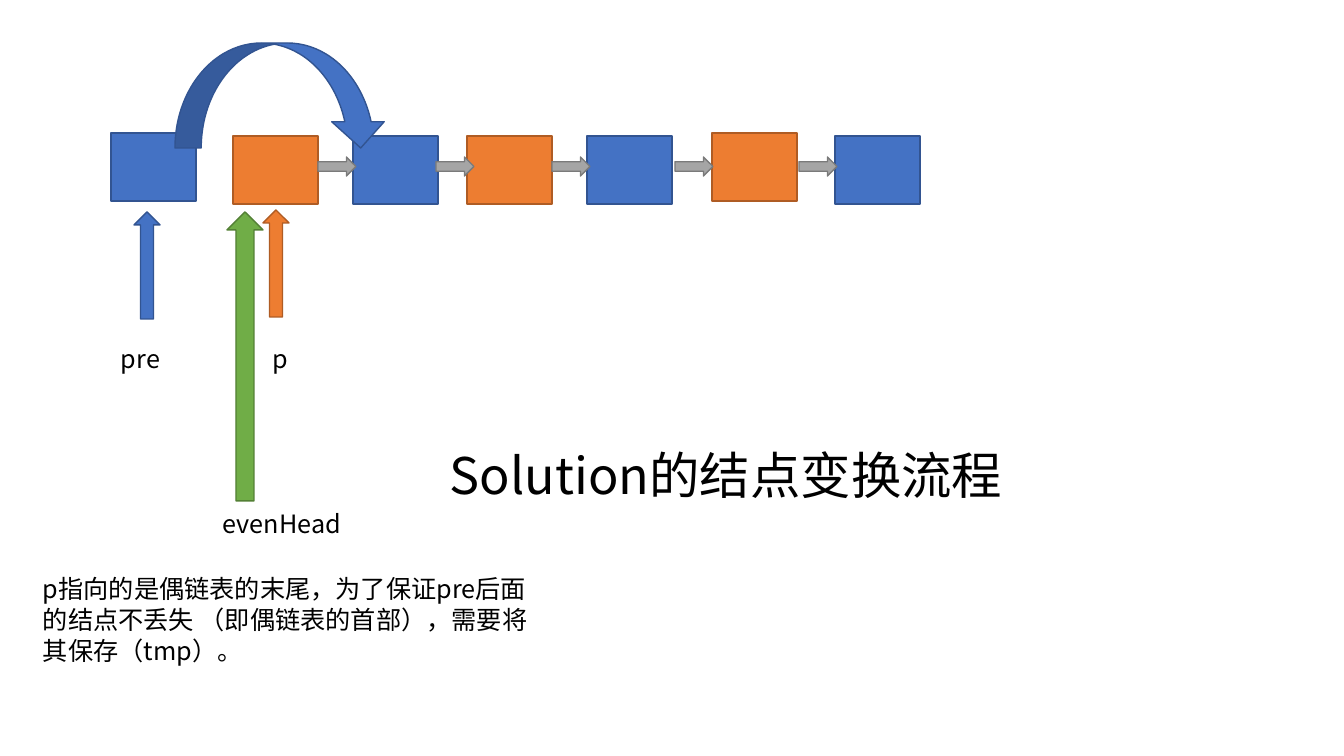
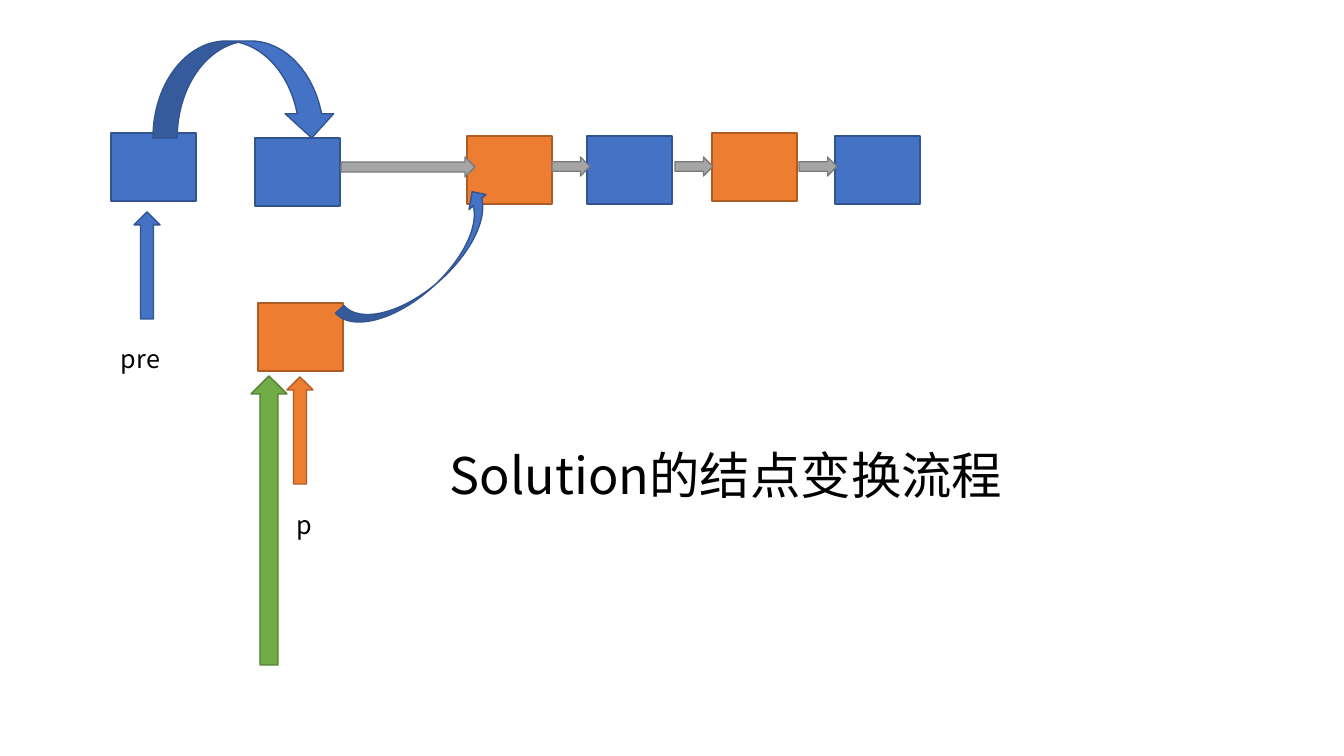
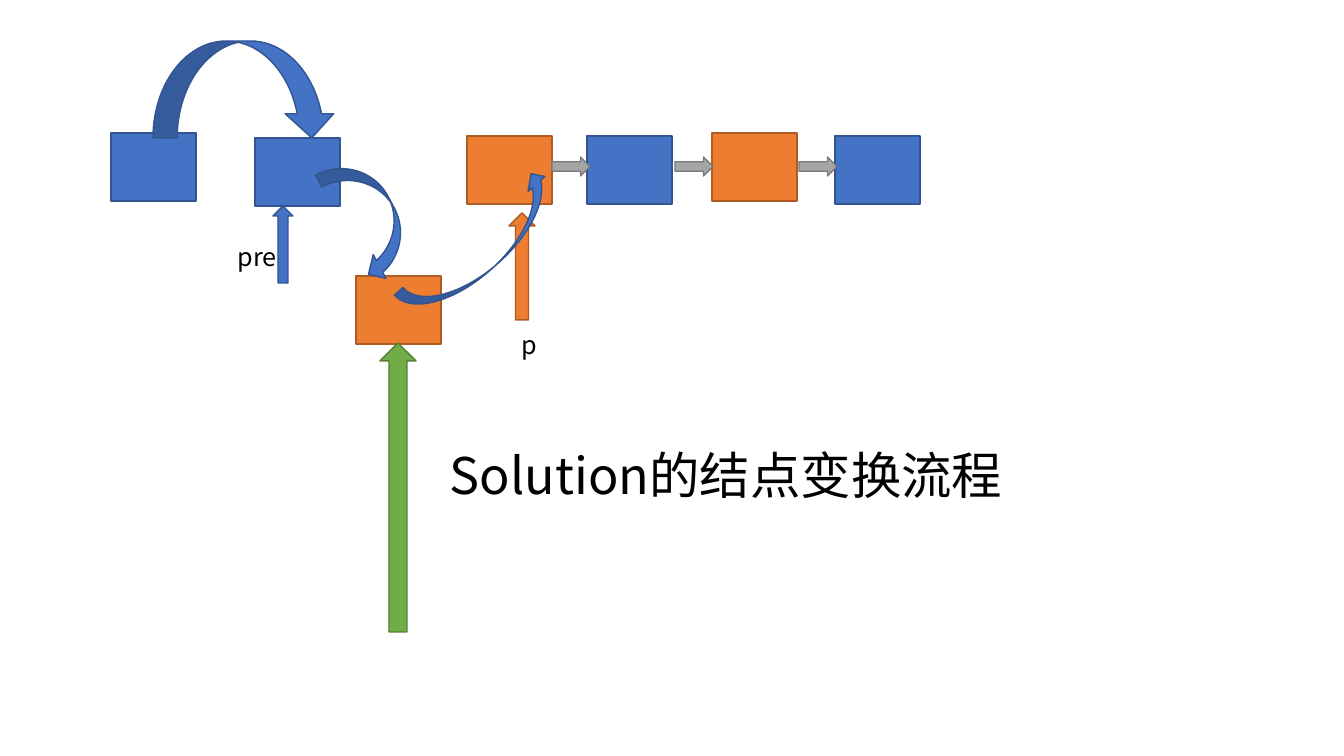
"""Draw three stages of relinking the odd and even nodes of a linked list."""
from dataclasses import dataclass

import pptx
import pptx.dml.color
import pptx.enum.shapes
import pptx.enum.text
import pptx.oxml.ns
import pptx.slide
import pptx.util
from lxml import etree

SCALE = 914400 / 100.8
FONT = "Noto Sans CJK SC"
TITLE = "Solution的结点变换流程"
NOTE = "p指向的是偶链表的末尾，为了保证pre后面的结点不丢失 （即偶链表的首部），需要将其保存（tmp）。"
FILLS = {"blue": "4472C4", "orange": "ED7D31", "gray": "A5A5A5", "green": "70AD47"}
EDGES = {"blue": "325491", "orange": "AF5C24", "gray": "7A7A7A", "green": "538035"}
INK = {"text": "000000"}
KINDS = pptx.enum.shapes.MSO_SHAPE
FRAME = {"word_wrap": True, "auto_size": pptx.enum.text.MSO_AUTO_SIZE.SHAPE_TO_FIT_TEXT}


@dataclass(frozen=True)
class Mark:
    """A preset shape with its colour and turn."""
    kind: KINDS
    left: int
    top: int
    width: int
    height: int
    tone: str = "blue"
    turn: float = 0


@dataclass(frozen=True)
class Label:
    """A line or block of text."""
    text: str
    left: int
    top: int
    width: int
    height: int = 40
    size: int = 18


@dataclass(frozen=True)
class Stage:
    """What one slide adds to the shared chain."""
    marks: list[Mark]
    labels: list[Label]


def px(*sizes: int) -> list[pptx.util.Emu]:
    """Turn pixels into EMU."""
    return [pptx.util.Emu(round(size * SCALE)) for size in sizes]


def rgb(code: str) -> pptx.dml.color.RGBColor:
    """Read a hex colour."""
    return pptx.dml.color.RGBColor.from_string(code)


def node(left: int, top: int, tone: str) -> Mark:
    """Make one list node."""
    return Mark(KINDS.RECTANGLE, left, top, 85, 68, tone)


def link(left: int, width: int = 38, height: int = 19) -> Mark:
    """Make a gray arrow to the next node."""
    return Mark(KINDS.RIGHT_ARROW, left, 157, width, height, "gray")


def point(left: int, top: int, tone: str, width: int = 26, height: int = 107) -> Mark:
    """Make an arrow that points up at a node."""
    return Mark(KINDS.UP_ARROW, left, top, width, height, tone)


def head(left: int, top: int) -> Mark:
    """Make the tall arrow at the even head."""
    return point(left, top, "green", 36, 289)


def swoop(left: int, top: int) -> Mark:
    """Make the curve that rises to the next even node."""
    return Mark(KINDS.CURVED_UP_ARROW, left, top, 194, 45, turn=318.4)


def draw_mark(slide: pptx.slide.Slide, mark: Mark) -> None:
    """Draw a preset shape."""
    shape = slide.shapes.add_shape(mark.kind, *px(mark.left, mark.top, mark.width, mark.height))
    shape.shadow.inherit = False
    shape.rotation = mark.turn
    shape.fill.solid()
    shape.fill.fore_color.rgb = rgb(FILLS[mark.tone])
    shape.line.color.rgb = rgb(EDGES[mark.tone])
    shape.line.width = pptx.util.Pt(1)


def draw_label(slide: pptx.slide.Slide, label: Label) -> None:
    """Draw a text box."""
    box = slide.shapes.add_textbox(*px(label.left, label.top, label.width, label.height))
    for name, value in FRAME.items():
        setattr(box.text_frame, name, value)
    para = box.text_frame.paragraphs[0]
    para.line_spacing = pptx.util.Pt(label.size * 11 / 9)
    run = para.add_run()
    run.text = label.text
    for name, value in {"name": FONT, "size": pptx.util.Pt(label.size)}.items():
        setattr(run.font, name, value)
    run.font.color.rgb = rgb(INK["text"])
    east = etree.SubElement(run.font._element, pptx.oxml.ns.qn("a:ea"))
    east.set("typeface", FONT)


CHAIN = [
    node(111, 133, "blue"), node(587, 136, "blue"), node(467, 136, "orange"),
    node(712, 133, "orange"), node(835, 136, "blue"),
    link(799), link(675), link(552),
]
HEADING = Label(TITLE, 440, 438, 731, 72, 36)
JUMP = Mark(KINDS.CURVED_DOWN_ARROW, 153, 41, 183, 97)
MOVED = node(255, 138, "blue")
STAGES = [
    Stage(
        [node(233, 136, "orange"), node(353, 136, "blue"),
         point(134, 212, "blue"), point(263, 210, "orange"), link(318), link(436),
         Mark(KINDS.CURVED_DOWN_ARROW, 175, 43, 212, 105), head(227, 212)],
        [Label("pre", 111, 338, 85), Label("p", 263, 338, 66),
         Label("evenHead", 213, 503, 140), Label(NOTE, 33, 568, 510, 102)],
    ),
    Stage(
        [node(258, 303, "orange"), MOVED,
         point(134, 212, "blue"), point(287, 377, "orange"), link(341, 134, 20),
         JUMP, swoop(326, 243), head(251, 376)],
        [Label("pre", 111, 338, 85), Label("p", 287, 504, 66)],
    ),
    Stage(
        [node(356, 276, "orange"), MOVED,
         point(273, 206, "blue", 20, 77), point(509, 213, "orange"),
         JUMP, swoop(385, 225),
         Mark(KINDS.CURVED_LEFT_ARROW, 342, 155, 54, 126, turn=331.9), head(380, 343)],
        [Label("pre", 228, 236, 85), Label("p", 512, 324, 66)],
    ),
]


def main() -> None:
    """Build and save the deck."""
    deck = pptx.Presentation()
    deck.slide_width, deck.slide_height = px(1344, 756)
    for stage in STAGES:
        slide = deck.slides.add_slide(deck.slide_layouts[6])
        for mark in CHAIN + stage.marks:
            draw_mark(slide, mark)
        for label in [HEADING] + stage.labels:
            draw_label(slide, label)
    deck.save("out.pptx")


main()
